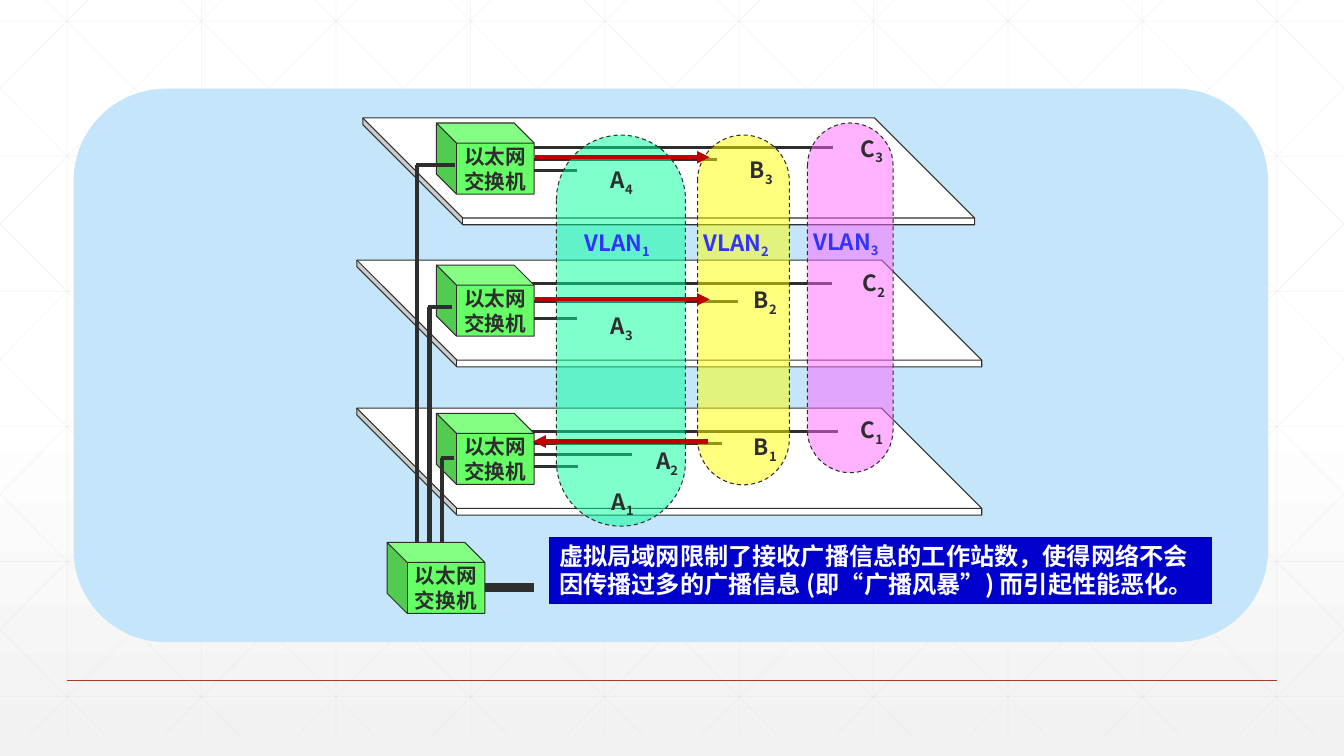
from lxml.etree import SubElement
from pptx import Presentation
from pptx.dml.color import RGBColor
from pptx.enum.dml import MSO_LINE
from pptx.enum.shapes import MSO_CONNECTOR, MSO_SHAPE
from pptx.enum.text import MSO_ANCHOR, PP_ALIGN
from pptx.oxml.ns import qn
from pptx.util import Inches, Pt

HUE = {name: RGBColor.from_string(code) for name, code in {
    "white": "FFFFFF", "fade": "F2F2F2", "grid": "D9D9D9", "rule": "A43F27",
    "sky": "C5E5FB", "navy": "0000CC", "edge": "000099", "ink": "2D2E2D",
    "green": "66FF66", "mint": "00FF99", "yellow": "FFFF00", "pink": "FF66FF",
    "blue": "3333FF", "red": "C00000"}.items()}
FONT = "Noto Sans CJK SC"

# One grid cell is a tenth of an inch; all places below are in cells.
CELL = Inches(0.1)
WIDE, HIGH = 133.33, 75

deck = Presentation()
deck.slide_width, deck.slide_height = round(WIDE * CELL), HIGH * CELL
slide = deck.slides.add_slide(deck.slide_layouts[6])
shapes = slide.shapes


def line(x1, y1, x2, y2, hue="ink", width=2.25, alpha=None, arrow=False):
    """Draw a line between two grid points, with an arrowhead at the second if asked."""
    ends = [round(cell * CELL) for cell in (x1, y1, x2, y2)]
    link = shapes.add_connector(MSO_CONNECTOR.STRAIGHT, *ends)
    link.line.color.rgb, link.line.width = HUE[hue], Pt(width)
    props = link.element.spPr
    if alpha:
        SubElement(props.find(".//" + qn("a:srgbClr")), qn("a:alpha"), val=str(alpha * 1000))
    if arrow:
        SubElement(props.find(qn("a:ln")), qn("a:tailEnd"), type="triangle")
    SubElement(props, qn("a:effectLst"))


def box(kind, place, fill=None, edge=None, text=(), size=16, ink="ink",
        sub="", depth=None, wrap=False, align=PP_ALIGN.LEFT, anchor=MSO_ANCHOR.TOP):
    """Add a shape, or a text box if kind is None; each text item is a paragraph, sub a subscript."""
    spot = [round(cell * CELL) for cell in place]
    if kind is None:
        shape = shapes.add_textbox(*spot)
    else:
        shape = shapes.add_shape(kind, *spot)
        shape.shadow.inherit = False
        shape.fill.solid()
        shape.fill.fore_color.rgb = HUE[fill]
        if edge:
            shape.line.color.rgb, shape.line.width = HUE[edge], Pt(0.75)
        else:
            shape.line.fill.background()
    if depth:
        shape.adjustments[0] = depth
    if kind == MSO_SHAPE.CUBE:
        shape.element.spPr.find(qn("a:xfrm")).set("flipH", "1")
    frame = shape.text_frame
    frame.word_wrap, frame.vertical_anchor = wrap, anchor
    for i, words in enumerate(text):
        para = frame.add_paragraph() if i else frame.paragraphs[0]
        para.alignment = align
        for part in filter(None, (words, sub)):
            run = para.add_run()
            run.text = part
            for key, value in {"size": Pt(size), "bold": True, "name": FONT}.items():
                setattr(run.font, key, value)
            run.font.color.rgb = HUE[ink]
            props = run.font._element
            SubElement(props, qn("a:ea"), typeface=FONT)
            if part == sub:
                props.set("baseline", "-25000")
    return shape


# Background: soft gradient and a faint lattice
back = slide.background.fill
back.gradient()
back.gradient_angle = 270
for stop, spot, name in zip(back.gradient_stops, (0.53, 1), ("white", "fade")):
    stop.position, stop.color.rgb = spot, HUE[name]

faint = {"hue": "grid", "width": 0.5, "alpha": 25}
TOP, FOOT, STEP, RUN = -2.1, 72.9, WIDE / 10, 74.55
for i in range(10):
    x = STEP * (i + 0.5)
    line(x, TOP, x, FOOT, **faint)
for i in range(6):
    y = 2.1 + 13.4 * i
    line(0, y, WIDE, y, **faint)
slope = (FOOT - TOP) / RUN
for i in range(-5, 10):
    start = 2.5 + STEP * i
    x1, x2 = max(0, start), min(WIDE, start + RUN)
    y1, y2 = [TOP + (x - start) * slope for x in (x1, x2)]
    line(x1, y1, x2, y2, **faint)
    line(WIDE - x1, y1, WIDE - x2, y2, **faint)
line(STEP / 2, 67.5, WIDE - STEP / 2, 67.5, "rule", 1)

# Panel and caption
box(MSO_SHAPE.ROUNDED_RECTANGLE, (7.3, 8.8, 118.5, 54.9), "sky")
note = box(MSO_SHAPE.RECTANGLE, (54.5, 53.3, 65.7, 6.6), "navy", "edge",
           ["虚拟局域网限制了接收广播信息的工作站数，使得网络不会"
            "因传播过多的广播信息 (即“广播风暴”) 而引起性能恶化。"],
           17.3, "white", wrap=True)
note.text_frame.paragraphs[0].line_spacing = Pt(20)

# Floors, bottom to top
for x, y, w in ((35.4, 40.5, 62), (35.4, 25.8, 62), (36, 11.7, 60.7)):
    box(MSO_SHAPE.CUBE, (x, y, w, 10.6), "white", "ink", depth=0.937)

# Wires from each switch to its stations
line(47, 58.3, 53, 58.3, width=6)
for x1, x2, y in ((50.5, 82.6, 14.6), (51.8, 71.1, 15.8), (53, 57.2, 16.9),
                  (49.9, 82.5, 28.1), (51.8, 73.2, 29.9), (53, 57.2, 31.6),
                  (48.3, 83.1, 42.8), (49.9, 71.6, 44), (51.2, 62.7, 45.1),
                  (51.2, 57.3, 46.3)):
    line(x1, y, x2, y)

# Switches; the last one joins the risers of the three floors
for x, y in ((43.3, 12.2), (43.3, 26.3), (43.3, 41), (38.4, 53.8)):
    if x < 40:
        for riser, top, reach, low in ((41.4, 16.4, 45.1, 54.5), (42.6, 30.45, 44.8, 55.7),
                                       (43.85, 45.4, 45, 56.9)):
            line(riser, top, riser, low, width=3)
            line(riser - 0.1, top, reach, top, width=3)
    box(MSO_SHAPE.CUBE, (x, y, 9.7, 7.05), "green", "ink", ["以太网", "交换机"],
        14.7, depth=0.283, align=PP_ALIGN.CENTER, anchor=MSO_ANCHOR.MIDDLE)

# VLAN zones
for num, hue, place, x, y in (("3", "pink", (80.1, 12.2, 8.5, 34.7), 79.7, 22.1),
                              ("1", "mint", (55.2, 13.4, 12.8, 38.8), 57, 22.2),
                              ("2", "yellow", (69.2, 13.4, 9.1, 34.7), 68.8, 22.2)):
    zone = box(MSO_SHAPE.ROUNDED_RECTANGLE, place, hue, "ink", depth=0.5)
    zone.line.dash_style = MSO_LINE.DASH
    tint = zone.element.spPr.find(qn("a:solidFill")).find(qn("a:srgbClr"))
    SubElement(tint, qn("a:alpha"), val="50000")
    box(None, (x, y, 9.4, 3.7), text=["VLAN"], ink="blue", sub=num)

# Station labels
for name, x, y in (("A4", 59.6, 16), ("B3", 73.4, 15), ("C3", 84.4, 12.9),
                   ("A3", 59.6, 30.5), ("B2", 73.8, 27.9), ("C2", 84.6, 26.2),
                   ("A2", 64.1, 43.9), ("A1", 59.7, 47.9), ("B1", 73.8, 42.5),
                   ("C1", 84.4, 40.8)):
    box(None, (x, y, 4.5, 3.7), text=[name[0]], sub=name[1])

# Broadcast from B1 to the other members of its VLAN
for x1, x2, y in ((70.2, 52.9, 43.8), (53.1, 70.4, 29.7), (53.1, 70.4, 15.6)):
    line(x1, y, x2, y, "red", 3, arrow=True)

deck.save("out.pptx")
